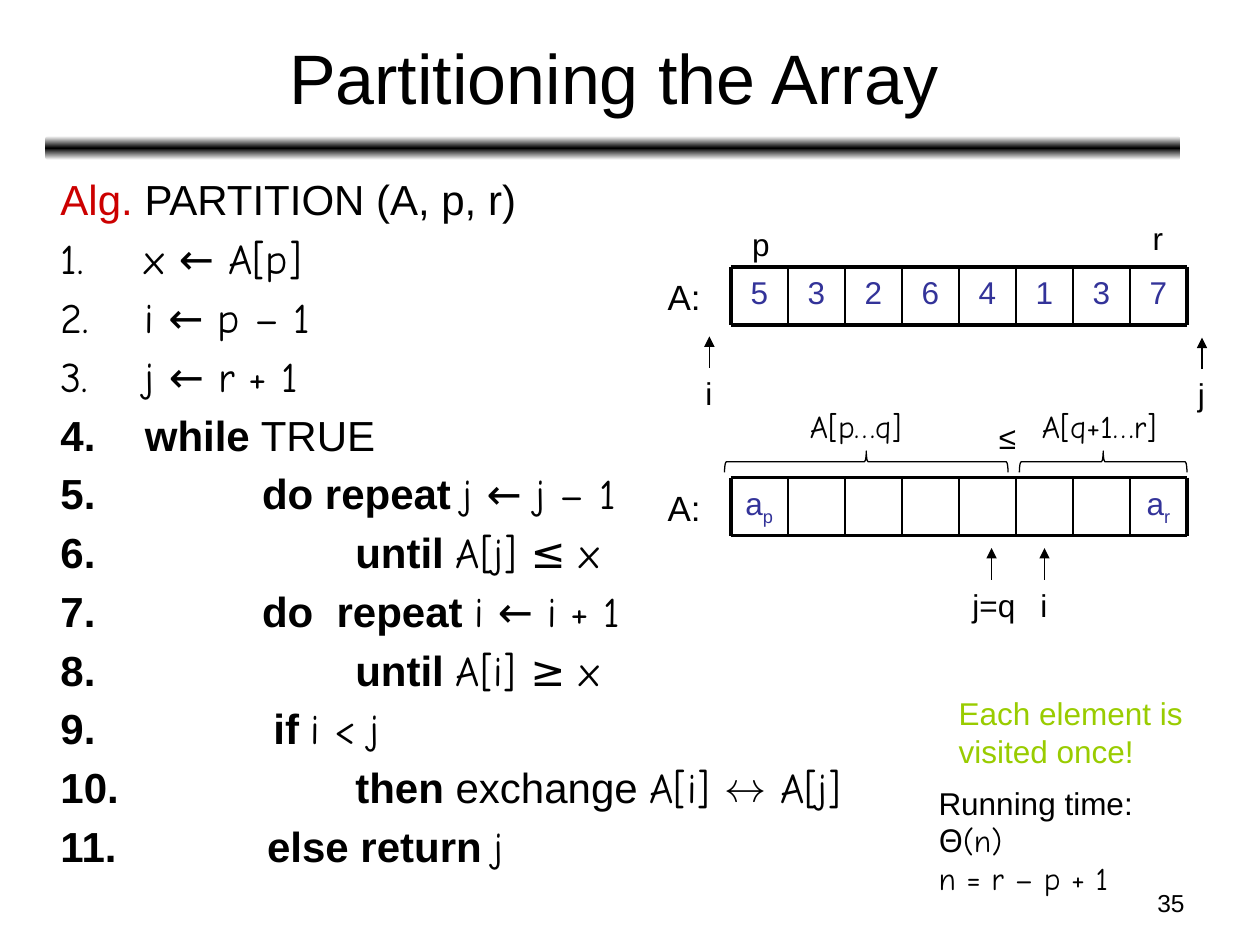
from copy import deepcopy

from lxml import etree
from pptx import Presentation
from pptx.dml.color import RGBColor
from pptx.enum.shapes import MSO_CONNECTOR, MSO_SHAPE
from pptx.enum.text import MSO_ANCHOR, MSO_AUTO_SIZE, PP_ALIGN
from pptx.oxml.ns import qn
from pptx.util import Inches, Pt

LINE = MSO_CONNECTOR.STRAIGHT
BAR, BRACE = MSO_SHAPE.ROUNDED_RECTANGLE, MSO_SHAPE.LEFT_BRACE
MIDDLE, NO_FIT = MSO_ANCHOR.MIDDLE, MSO_AUTO_SIZE.NONE
LEFT, CENTER, RIGHT = PP_ALIGN.LEFT, PP_ALIGN.CENTER, PP_ALIGN.RIGHT

BLACK = RGBColor(0x00, 0x00, 0x00)
WHITE = RGBColor(0xFF, 0xFF, 0xFF)
RED = RGBColor(0xCC, 0x00, 0x00)
BLUE = RGBColor(0x33, 0x33, 0x99)
GREEN = RGBColor(0x99, 0xCC, 0x00)
SANS, HAND = "Arial", "Comic Neue"

# Array grid
GRID_X, GRID_W, CELL_H, COUNT = 5.8, 3.62, 0.46, 8
CELL_W = GRID_W / COUNT

# Numbered steps: text indent, bold keyword, plain words, code
STEPS = [
    (0.67, "", "", "x ← A[p]"),
    (0.67, "", "", "i ← p – 1"),
    (0.67, "", "", "j ← r + 1"),
    (0.67, "while", " TRUE", ""),
    (1.6, "do repeat ", "", "j ← j – 1"),
    (2.34, "until ", "", "A[j] ≤ x"),
    (1.6, "do  repeat ", "", "i ← i + 1"),
    (2.34, "until ", "", "A[i] ≥ x"),
    (1.69, "if ", "", "i < j"),
    (2.34, "then", " exchange ", "A[i] ↔ A[j]"),
    (1.64, "else return ", "", "j"),
]


def write(par, text, size=18, font=SANS, color=BLACK, bold=False, base=0):
    """Add one formatted run to a paragraph."""
    run = par.add_run()
    run.text = text
    run.font.size, run.font.name, run.font.bold = Pt(size), font, bold
    run.font.color.rgb = color
    if base:
        run._r.get_or_add_rPr().set("baseline", str(base * 1000))


def place(shape, x, y, w, h):
    shape.left, shape.top = Inches(x), Inches(y)
    shape.width, shape.height = Inches(w), Inches(h)


def label(slide, x, y, w, h, *lines, align=LEFT, wrap=False, **fmt):
    """Add a text box with one paragraph per line; return its frame."""
    box = slide.shapes.add_textbox(Inches(x), Inches(y), Inches(w), Inches(h))
    frame = box.text_frame
    frame.word_wrap = wrap
    for i, line in enumerate(lines):
        par = frame.add_paragraph() if i else frame.paragraphs[0]
        par.alignment = align
        write(par, line, **fmt)
    return frame


def rule(slide, x1, y1, x2, y2, width, arrow=False):
    line = slide.shapes.add_connector(
        LINE, Inches(x1), Inches(y1), Inches(x2), Inches(y2))
    line.line.color.rgb = BLACK
    line.line.width = Pt(width)
    if arrow:
        ln = line.line._get_or_add_ln()
        etree.SubElement(ln, qn("a:tailEnd"), type="triangle")
    etree.SubElement(line._element.spPr, qn("a:effectLst"))


def pointer(slide, x, y, text, left, width):
    """Index name below an arrow that points up."""
    rule(slide, x, y, x, y - 0.25, 0.75, arrow=True)
    label(slide, left, y, width, 0.4, text)


def array(slide, y, cells):
    """Row of cells; each cell is a value and an optional subscript."""
    label(slide, 5.2, y + 0.02, 0.46, 0.43, "A:", size=20)
    for i, (value, sub) in cells.items():
        frame = label(slide, GRID_X + i * CELL_W, y, CELL_W, CELL_H, value,
                      align=CENTER, wrap=True, color=BLUE)
        if sub:
            write(frame.paragraphs[0], sub, color=BLUE, base=-25)
    for edge in (y, y + CELL_H):
        rule(slide, GRID_X, edge, GRID_X + GRID_W, edge, 2.25)
    for i in range(COUNT + 1):
        x = GRID_X + i * CELL_W
        rule(slide, x, y, x, y + CELL_H, 2.25 if i in (0, COUNT) else 1)


def brace(slide, x, y, h):
    shape = slide.shapes.add_shape(
        BRACE, Inches(x), Inches(y), Inches(0.17), Inches(h))
    shape.rotation = 90
    shape.shadow.inherit = False
    shape.fill.background()
    shape.line.color.rgb = BLACK
    shape.line.width = Pt(0.75)


def divider(slide):
    """Bar that fades from black to white above and below."""
    bar = slide.shapes.add_shape(
        BAR, Inches(0.36), Inches(1.08), Inches(9.01), Inches(0.19))
    bar.shadow.inherit = False
    bar.line.fill.background()
    bar.fill.gradient()
    bar.fill.gradient_angle = 90
    stops = bar._element.spPr.find(qn("a:gradFill")).find(qn("a:gsLst"))
    stops.insert(1, deepcopy(stops[0]))
    for i, (stop, color) in enumerate(
            zip(bar.fill.gradient_stops, (WHITE, BLACK, WHITE))):
        stop.position = i / 2
        stop.color.rgb = color


def indent(par, left, bullet, **attrs):
    """Set a hanging indent and the bullet kind."""
    props = par._p.get_or_add_pPr()
    props.set("marL", str(Inches(left)))
    props.set("indent", str(-Inches(left)))
    etree.SubElement(props, qn(bullet), **attrs)


def listing(body):
    """Algorithm heading and its numbered steps."""
    place(body, 0.38, 1.33, 9, 5.84)
    frame = body.text_frame
    frame.auto_size = NO_FIT
    head = frame.paragraphs[0]
    head.space_before = Pt(0)
    indent(head, 0.58, "a:buNone")
    write(head, "Alg. ", size=24, color=RED)
    write(head, "PARTITION (A, p, r)", size=24)
    for left, key, words, code in STEPS:
        par = frame.add_paragraph()
        indent(par, left, "a:buFont", typeface=SANS)
        etree.SubElement(par._p.pPr, qn("a:buAutoNum"), type="arabicPeriod")
        for text, fmt in ((key, {"bold": True}), (words, {}),
                          (code, {"font": HAND})):
            if text:
                write(par, text, size=24, **fmt)


def main():
    prs = Presentation()
    prs.slide_width, prs.slide_height = Inches(10), Inches(7.5)
    slide = prs.slides.add_slide(prs.slide_layouts[1])
    title, body = slide.placeholders

    # Heading and algorithm
    divider(slide)
    place(title, 0.37, 0.11, 9, 0.99)
    title.text_frame.vertical_anchor = MIDDLE
    title.text_frame.auto_size = NO_FIT
    write(title.text_frame.paragraphs[0], "Partitioning the Array", size=40)
    listing(body)

    # Array before partitioning
    array(slide, 2.12, {i: (n, "") for i, n in enumerate("53264137")})
    label(slide, 5.87, 1.74, 0.31, 0.4, "p")
    label(slide, 9.05, 1.69, 0.28, 0.4, "r")
    pointer(slide, 5.63, 2.92, "i", 5.5, 0.26)
    pointer(slide, 9.54, 2.93, "j", 9.41, 0.26)

    # Array after partitioning
    array(slide, 3.79, {0: ("a", "p"), COUNT - 1: ("a", "r")})
    pointer(slide, 8.29, 4.6, "i", 8.16, 0.26)
    pointer(slide, 7.87, 4.6, "j=q", 7.62, 0.54)
    brace(slide, 6.79, 2.54, 2.25)
    brace(slide, 8.67, 3, 1.33)
    label(slide, 6.33, 3.18, 1, 0.4, "A[p…q]", font=HAND)
    label(slide, 8.17, 3.18, 1.22, 0.4, "A[q+1…r]", font=HAND)
    label(slide, 7.83, 3.27, 0.34, 0.4, "≤")

    # Running time and page number
    label(slide, 7.51, 5.46, 1.98, 0.7, "Each element is", "visited once!",
          wrap=True, color=GREEN)
    cost = label(slide, 7.35, 6.17, 2.31, 0.7, "Running time: ", wrap=True)
    write(cost.paragraphs[0], "Θ(n)", font=HAND)
    write(cost.add_paragraph(), "n = r – p + 1", font=HAND)
    label(slide, 7.17, 7, 2.33, 0.35, "35", align=RIGHT, wrap=True, size=14)

    prs.save("out.pptx")


if __name__ == "__main__":
    main()
